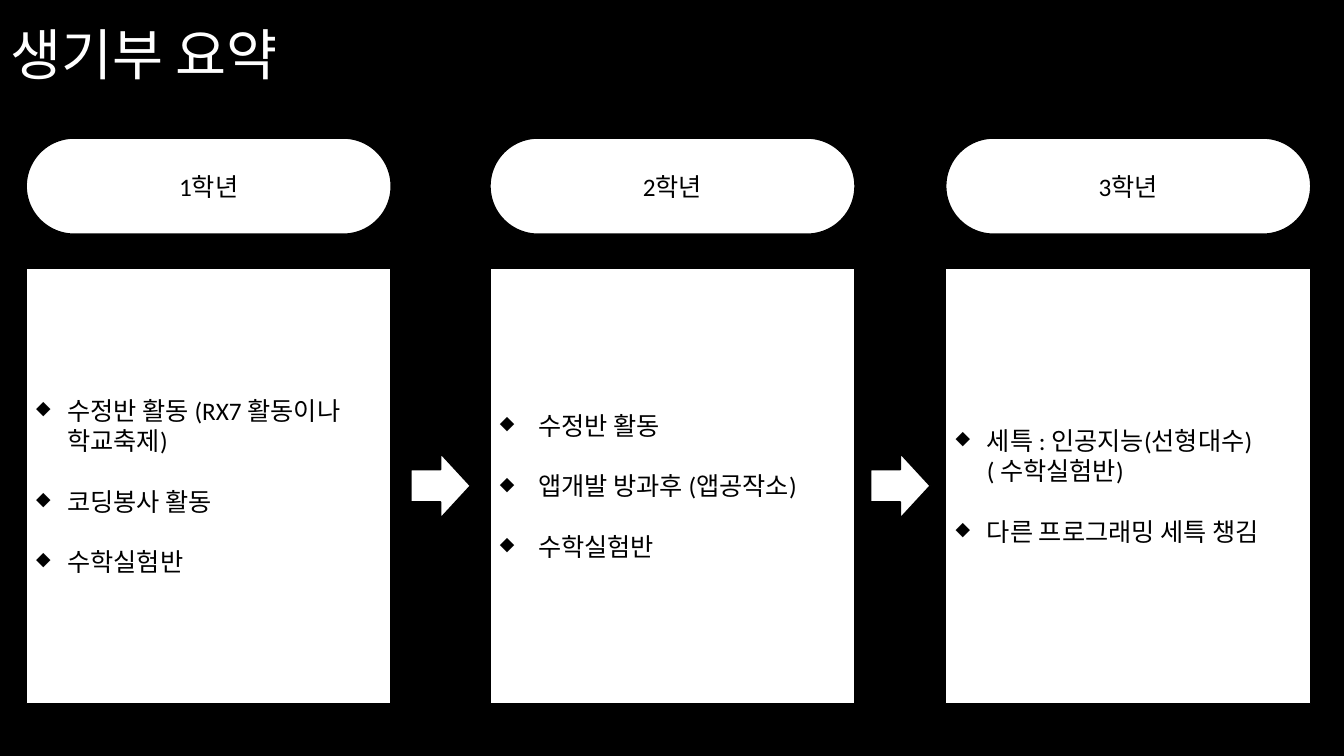
from dataclasses import dataclass

from lxml import etree
from pptx import Presentation
from pptx.dml.color import RGBColor
from pptx.enum.shapes import MSO_SHAPE as SHAPE
from pptx.enum.text import MSO_ANCHOR as ANCHOR, PP_ALIGN as ALIGN
from pptx.oxml.ns import qn
from pptx.util import Inches, Pt


@dataclass(frozen=True)
class Theme:
    dark: RGBColor = RGBColor(0, 0, 0)
    light: RGBColor = RGBColor(255, 255, 255)
    font: str = "Calibri"
    title: float = 39.6
    body: float = 18
    item_gap: float = 21.5
    bullet_percent: int = 75


@dataclass(frozen=True)
class Box:
    left: float
    top: float
    width: float
    height: float

    @property
    def right(self):
        return self.left + self.width

    def emu(self):
        return [Inches(v) for v in (self.left, self.top, self.width, self.height)]

    def band(self, start, share):
        """A full-width strip, given as shares of the box height."""
        return Box(self.left, self.top + start * self.height,
                   self.width, share * self.height)


T = Theme()
WIDTH, HEIGHT = 13.33, 7.5
COLUMN_TOP, COLUMN_WIDTH, COLUMN_HEIGHT = 1.37, 3.62, 5.61
PILL_SHARE, PANEL_START = 0.17, 0.23
ARROW_WIDTH, ARROW_HEIGHT, ARROW_MIDDLE = 0.59, 0.64, 4.82

# Left edge, heading, bullet indent, activities
GRADES = [
    (0.26, "1학년", 0.31,
     ["수정반 활동 (RX7 활동이나 학교축제)", "코딩봉사 활동", "수학실험반"]),
    (4.86, "2학년", 0.38,
     ["수정반 활동", "앱개발 방과후 (앱공작소)", "수학실험반"]),
    (9.38, "3학년", 0.31,
     ["세특 : 인공지능(선형대수) ( 수학실험반)", "다른 프로그래밍 세특 챙김"]),
]


def add_run(p, text, size, color):
    r = p.add_run()
    r.text = text
    r.font.name, r.font.size = T.font, Pt(size)
    r.font.color.rgb = color


def add_block(s, kind, box):
    sp = s.shapes.add_shape(kind, *box.emu())
    sp.shadow.inherit = False
    sp.fill.solid()
    sp.fill.fore_color.rgb = T.light
    sp.line.color.rgb = T.dark
    sp.line.width = Pt(1)
    sp.text_frame.word_wrap = True
    sp.text_frame.vertical_anchor = ANCHOR.MIDDLE
    return sp


def set_bullet(p, indent):
    pPr = p._p.get_or_add_pPr()
    pPr.set("marL", str(Inches(indent)))
    pPr.set("indent", str(-Inches(indent)))
    etree.SubElement(pPr, qn("a:buSzPct"), val=str(T.bullet_percent * 1000))
    etree.SubElement(pPr, qn("a:buChar"), char="◆")


def add_title(s, box, text):
    sp = s.shapes.title
    sp.left, sp.top, sp.width, sp.height = box.emu()
    tf = sp.text_frame
    tf.word_wrap = True
    tf.vertical_anchor = ANCHOR.MIDDLE
    p = tf.paragraphs[0]
    p.alignment, p.line_spacing = ALIGN.LEFT, 0.9
    add_run(p, text, T.title, T.light)


def add_grade(s, box, heading, indent, activities):
    # Rounded heading
    pill = add_block(s, SHAPE.ROUNDED_RECTANGLE, box.band(0, PILL_SHARE))
    pill.adjustments[0] = 0.5
    p = pill.text_frame.paragraphs[0]
    p.alignment = ALIGN.CENTER
    add_run(p, heading, T.body, T.dark)

    # Activity list
    panel = add_block(s, SHAPE.RECTANGLE, box.band(PANEL_START, 1 - PANEL_START))
    tf = panel.text_frame
    for i, activity in enumerate(activities):
        p = tf.add_paragraph() if i else tf.paragraphs[0]
        p.alignment = ALIGN.LEFT
        if i:
            p.space_before = Pt(T.item_gap)
        set_bullet(p, indent)
        add_run(p, activity, T.body, T.dark)


def add_arrow_between(s, before, after):
    middle = (before.right + after.left) / 2
    add_block(s, SHAPE.RIGHT_ARROW,
              Box(middle - ARROW_WIDTH / 2, ARROW_MIDDLE - ARROW_HEIGHT / 2,
                  ARROW_WIDTH, ARROW_HEIGHT))


def build_summary(prs):
    s = prs.slides.add_slide(prs.slide_layouts[5])
    s.background.fill.solid()
    s.background.fill.fore_color.rgb = T.dark
    add_title(s, Box(0, 0.25, 11.5, 0.64), "생기부 요약")

    columns = [Box(left, COLUMN_TOP, COLUMN_WIDTH, COLUMN_HEIGHT)
               for left, *_ in GRADES]
    for box, (_, heading, indent, activities) in zip(columns, GRADES):
        add_grade(s, box, heading, indent, activities)
    for before, after in zip(columns, columns[1:]):
        add_arrow_between(s, before, after)


prs = Presentation()
prs.slide_width, prs.slide_height = Inches(WIDTH), Inches(HEIGHT)
build_summary(prs)
prs.save("out.pptx")
